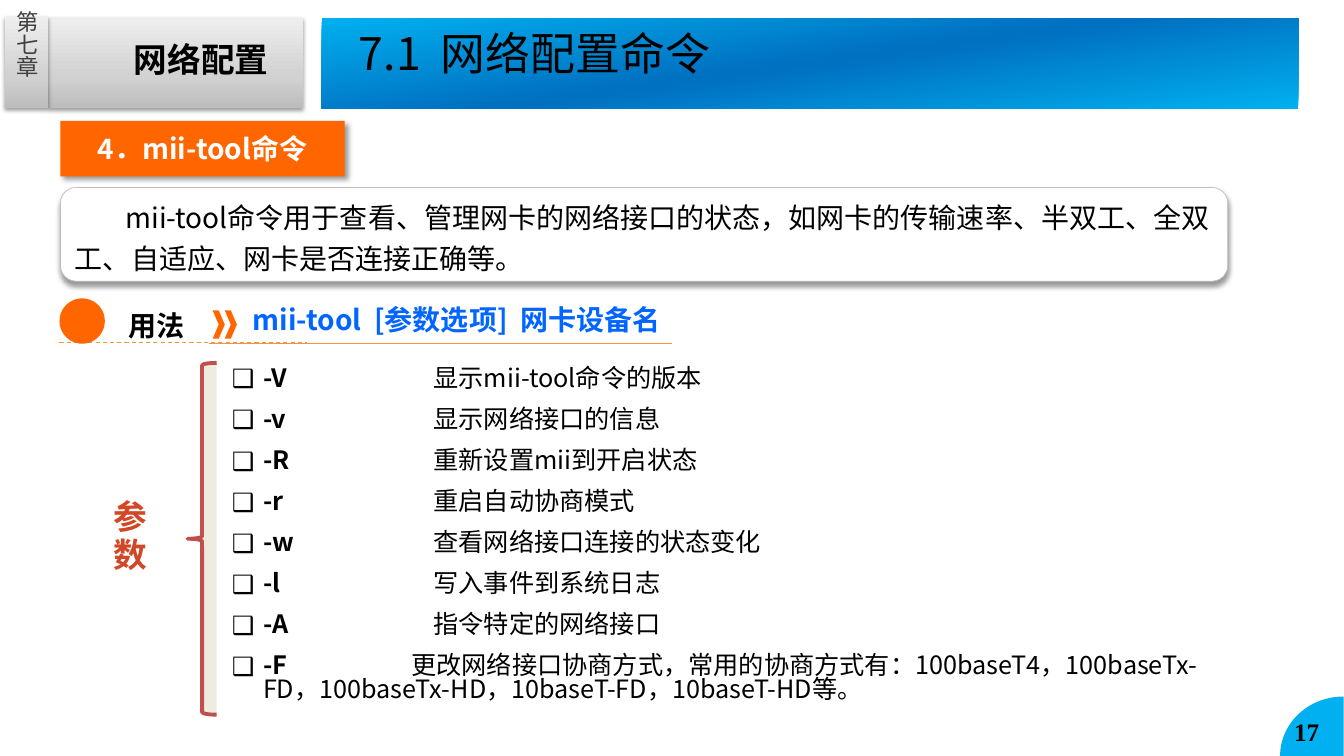
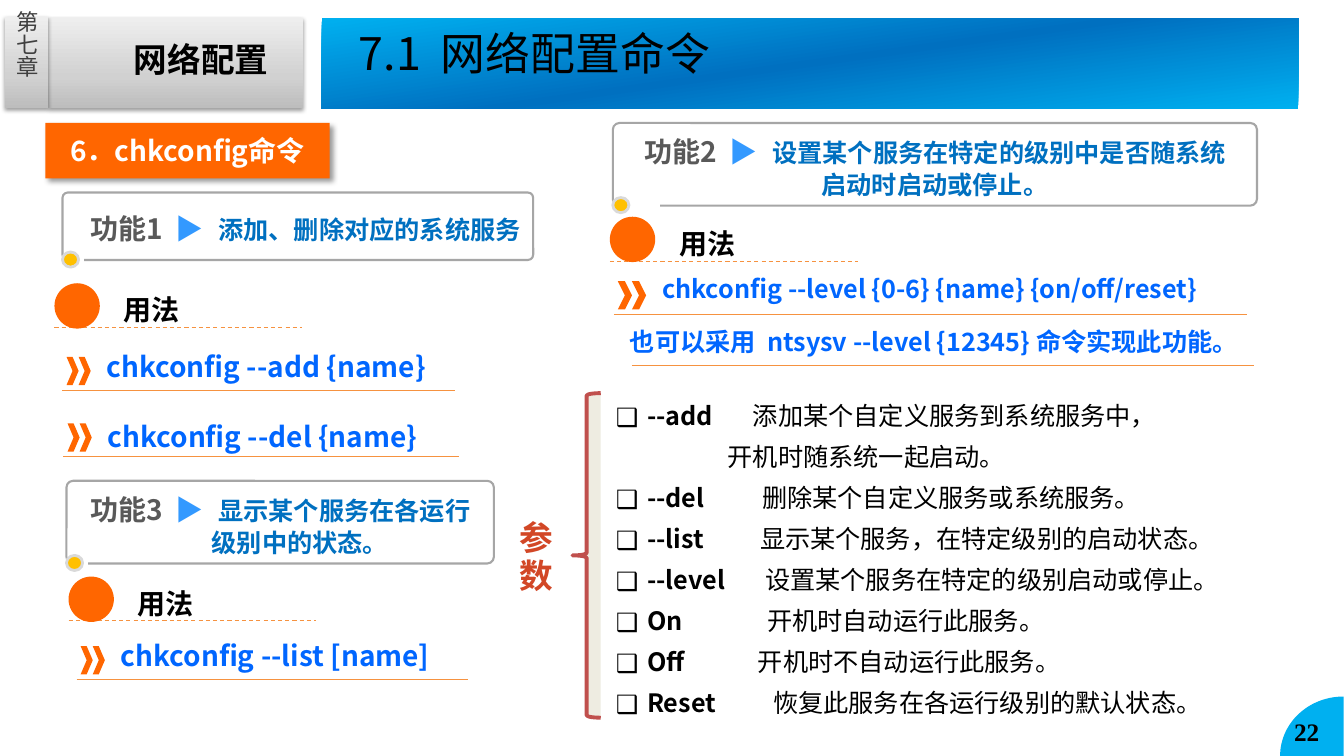
"""Builds two slides on network configuration commands."""
import math

from pptx import Presentation
from pptx.dml.color import RGBColor
from pptx.enum.dml import MSO_LINE
from pptx.enum.shapes import MSO_CONNECTOR, MSO_SHAPE
from pptx.enum.text import MSO_ANCHOR, MSO_AUTO_SIZE, PP_ALIGN
from pptx.oxml import parse_xml
from pptx.oxml.ns import qn
from pptx.util import Emu, Inches, Pt

RECT, ROUND, OVAL = MSO_SHAPE.RECTANGLE, MSO_SHAPE.ROUNDED_RECTANGLE, MSO_SHAPE.OVAL
CHEVRON, BRACE = MSO_SHAPE.CHEVRON, MSO_SHAPE.LEFT_BRACE
CENTER, LEFT = PP_ALIGN.CENTER, PP_ALIGN.LEFT
TOP, MIDDLE = MSO_ANCHOR.TOP, MSO_ANCHOR.MIDDLE
STRAIGHT, DASH = MSO_CONNECTOR.STRAIGHT, MSO_LINE.DASH

NAMESPACE = 'xmlns:a="http://schemas.openxmlformats.org/drawingml/2006/main"'
FONT = "Noto Sans CJK SC"
BLACK, WHITE, ORANGE, RULE = "000000", "FFFFFF", "FF6600", "F69240"
COMMAND, GRAY, ARROW, PURPOSE = "0066FF", "595959", "3399FF", "0070C0"
GRAY_STOPS = ((0, "BDBDBD"), (35, "D1D1D1"), (100, "EEEEEE"))
BLUE_STOPS = ((0, "00B0F0"), (50, "0070C0"), (100, "00B0F0"))
SOFT_SHADOW, TAG_SHADOW, CARD_SHADOW = (38, 3.1, 1.6, 90), (40, 4, 3, 45), (40, 4, 3, 90)
GAP = "|"
TITLE = "7.1|网络配置命令"
HANG = 0.31

SLIDES = [
    {
        "page": "17",
        "tag": ("4．mii-tool命令", 0.6, 1.2),
        "card": "mii-tool命令用于查看、管理网卡的网络接口的状态，如网卡的传输速率、半双工、全双工、自适应、网卡是否连接正确等。",
        "functions": [],
        "usages": [(0.59, 2.96)],
        "commands": [("mii-tool|[参数选项]|网卡设备名", 20, 2.11, 3.08, 4.6, 0.19)],
        "remark": None,
        "label": (1.03, 4.9),
        "brace": (1.86, 3.6, 0.29, 3.49),
        "body": (2.2, 3.6, 9.84, 3.49),
        "options": [
            ("-V", "显示mii-tool命令的版本", 2),
            ("-v", "显示网络接口的信息", 2),
            ("-R", "重新设置mii到开启状态", 2),
            ("-r", "重启自动协商模式", 2),
            ("-w", "查看网络接口连接的状态变化", 2),
            ("-l", "写入事件到系统日志", 2),
            ("-A", "指令特定的网络接口", 2),
            ("-F", "更改网络接口协商方式，常用的协商方式有：100baseT4，100baseTx-FD，"
                   "100baseTx-HD，10baseT-FD，10baseT-HD等。", 1.78),
        ],
    },
    {
        "page": "22",
        "tag": ("6．chkconfig命令", 0.45, 1.22),
        "card": None,
        "functions": [
            ("功能1", ["添加、删除对应的系统服务"], (0.62, 1.91, 4.67, 0.67), 0.15, 0, 0.05),
            ("功能2", ["设置某个服务在特定的级别中是否随系统", "启动时启动或停止。"],
             (6.08, 1.22, 6.39, 0.82), 0, 0, 0.31),
            ("功能3", ["显示某个服务在各运行", "级别中的状态。"],
             (0.66, 4.77, 4.24, 0.82), 0, 0.39, 0.05),
        ],
        "usages": [(0.54, 2.81), (0.68, 5.72), (6.05, 2.15)],
        "commands": [
            ("chkconfig --add {name}", 20, 0.66, 3.54, 3.89, 0.19),
            ("chkconfig --del {name}", 20, 0.67, 4.2, 3.92, 0.15),
            ("chkconfig --list [name]", 20, 0.8, 6.41, 3.88, 0.19),
            ("chkconfig --level {0-6} {name} {on/off/reset}", 18, 6.13, 2.79, 6.28, 0.19),
        ],
        "remark": "也可以采用|ntsysv --level {12345} 命令实现此功能。",
        "label": (5.06, 5.11),
        "brace": (5.68, 3.9, 0.28, 3.22),
        "body": (6.01, 3.98, 6.49, 3.25),
        "options": [
            ("--add", "添加某个自定义服务到系统服务中，", 1.36),
            ("", "开机时随系统一起启动。", 1.11),
            ("--del", "删除某个自定义服务或系统服务。", 1.45),
            ("--list", "显示某个服务，在特定级别的启动状态。", 1.43),
            ("--level", "设置某个服务在特定的级别启动或停止。", 1.48),
            ("On", "开机时自动运行此服务。", 1.5),
            ("Off", "开机时不自动运行此服务。", 1.41),
            ("Reset", "恢复此服务在各运行级别的默认状态。", 1.56),
        ],
    },
]


def rgb(value):
    """Turn a hex string into a colour."""
    return RGBColor.from_string(value)


def add_run(paragraph, text, size, color=BLACK, bold=False, font=FONT):
    """Add text run by run; each gap mark becomes one widened space."""
    for index, part in enumerate(text.split(GAP)):
        for piece, widened in ((" ", True), (part, False)) if index else ((part, False),):
            if not piece:
                continue
            run = paragraph.add_run()
            run.text = piece
            run.font.size, run.font.bold, run.font.name = Pt(size), bold, font
            run.font.color.rgb = rgb(color)
            properties = run.font._element
            properties.append(parse_xml(f'<a:ea {NAMESPACE} typeface="{FONT}"/>'))
            if widened:
                properties.set("spc", str(round(size * 22)))


def set_indent(paragraph, margin, first):
    """Set the left margin and first-line indent in inches."""
    properties = paragraph._p.get_or_add_pPr()
    properties.set("marL", str(Inches(margin)))
    properties.set("indent", str(Inches(first)))
    return properties


def set_frame(shape, anchor=TOP, insets=(0.1, 0.05, 0.1, 0.05)):
    """Give a shape's text its anchor, insets and wrapping."""
    frame = shape.text_frame
    frame.word_wrap, frame.auto_size, frame.vertical_anchor = True, MSO_AUTO_SIZE.NONE, anchor
    frame.margin_left, frame.margin_top, frame.margin_right, frame.margin_bottom = map(Inches, insets)
    return frame


def place(shape, box):
    """Move and size a shape by a box in inches."""
    shape.left, shape.top, shape.width, shape.height = map(Inches, box)


def add_text(slide, box, text, size, color=BLACK, bold=True, font=FONT, spacing=1.0):
    """Add a text box of one paragraph."""
    shape = slide.shapes.add_textbox(*map(Inches, box))
    paragraph = set_frame(shape).paragraphs[0]
    paragraph.line_spacing = spacing
    add_run(paragraph, text, size, color, bold, font)
    return shape


def add_shape(slide, kind, box, fill=None, line=None, width=1, shadow=None):
    """Add a preset shape with its fill, outline and shadow."""
    shape = slide.shapes.add_shape(kind, *map(Inches, box))
    shape.shadow.inherit = False
    if fill:
        shape.fill.solid()
        shape.fill.fore_color.rgb = rgb(fill)
    else:
        shape.fill.background()
    if line:
        shape.line.color.rgb, shape.line.width = rgb(line), Pt(width)
    else:
        shape.line.fill.background()
    if shadow:
        alpha, blur, distance, angle = shadow
        shape._element.spPr.find(qn("a:effectLst")).append(parse_xml(
            f'<a:outerShdw {NAMESPACE} blurRad="{Pt(blur)}" dist="{Pt(distance)}" '
            f'dir="{angle * 60000}" algn="ctr" rotWithShape="0"><a:srgbClr val="000000">'
            f'<a:alpha val="{alpha * 1000}"/></a:srgbClr></a:outerShdw>'))
    return shape


def add_gradient_bar(slide, box, stops, angle, shadow=None):
    """Add a rectangle filled with a linear gradient."""
    shape = add_shape(slide, RECT, box, WHITE, shadow=shadow)
    marks = "".join(f'<a:gs pos="{position * 1000}"><a:srgbClr val="{color}"/></a:gs>'
                    for position, color in stops)
    properties = shape._element.spPr
    properties.replace(properties.find(qn("a:solidFill")), parse_xml(
        f'<a:gradFill {NAMESPACE} rotWithShape="1"><a:gsLst>{marks}</a:gsLst>'
        f'<a:lin ang="{angle * 60000}" scaled="0"/></a:gradFill>'))
    return shape


def add_rule(slide, left, top, length, color=RULE, width=0.75, dash=None):
    """Add a horizontal line."""
    line = slide.shapes.add_connector(
        STRAIGHT, Inches(left), Inches(top), Inches(left + length), Inches(top))
    line.line.color.rgb, line.line.width = rgb(color), Pt(width)
    if dash:
        line.line.dash_style = dash
    line._element.spPr.append(parse_xml(f"<a:effectLst {NAMESPACE}/>"))


def add_corner(slide):
    """Add the rounded page-number corner."""
    angles = [math.radians(180 + 3 * step) for step in range(31)]
    points = [(Inches(13.33 + 0.63 * math.cos(angle)), Inches(7.5 + 0.59 * math.sin(angle)))
              for angle in angles]
    builder = slide.shapes.build_freeform(*points[0])
    builder.add_line_segments(points[1:] + [(Inches(13.33), Inches(7.5))], close=True)
    corner = builder.convert_to_shape()
    corner.shadow.inherit = False
    corner.fill.solid()
    corner.fill.fore_color.rgb = rgb("00B0F0")
    corner.line.fill.background()
    return corner


def build_layout(slide, layout):
    """Build the shared header and corner and move them to the layout."""
    chapter = add_text(slide, (0.12, 0.11, 0.29, 0.67), "第七章", 16, "404040", False)
    frame = set_frame(chapter, MIDDLE, (0, 0, 0, 0))
    frame._txBody.bodyPr.set("vert", "eaVert")
    frame.paragraphs[0].alignment = CENTER
    parts = [
        add_gradient_bar(slide, (0.48, 0.18, 2.53, 0.89), GRAY_STOPS, 270, SOFT_SHADOW),
        add_text(slide, (1.23, 0.34, 1.78, 0.53), "网络配置", 24, font="Arial"),
        add_gradient_bar(slide, (0.05, 0.17, 0.43, 0.9), GRAY_STOPS, 270, SOFT_SHADOW),
        chapter,
        add_corner(slide),
        add_gradient_bar(slide, (3.19, 0.18, 9.69, 0.9), BLUE_STOPS, 262),
    ]
    for part in parts:
        layout.shapes.element.append(part._element)


def add_usage(slide, left, top):
    """Add the usage heading with its dot and dashed line."""
    add_rule(slide, left, top + 0.44, 2.46, dash=DASH)
    add_text(slide, (left + 0.59, top - 0.12, 1.83, 0.6), "用法", 20, spacing=1.5)
    add_shape(slide, OVAL, (left, top, 0.45, 0.45), ORANGE)


def add_command(slide, text, size, left, top, length, lift):
    """Add a command with two chevrons and an underline."""
    width = 0.12 if size == 20 else 0.14
    add_text(slide, (left + 2 * width + 0.06, top - lift, length, 0.5), text, size, COMMAND, spacing=1.2)
    for index in range(2):
        add_shape(slide, CHEVRON, (left + index * width, top, width, 0.28), ORANGE)
    add_rule(slide, left - 0.04, top + 0.33, length)


def add_function(slide, name, lines, box, inset, shift, opening):
    """Add an outlined function box with its corner dot."""
    left, top, _, height = box
    shape = add_shape(slide, ROUND, box, line="A6A6A6", width=1.5)
    shape.adjustments[0] = 0.08
    frame = set_frame(shape, MIDDLE, (inset, 0, 0, 0))
    for index, text in enumerate(lines):
        paragraph = frame.add_paragraph() if index else frame.paragraphs[0]
        paragraph.alignment = CENTER
        if index:
            set_indent(paragraph, shift, 0)
        else:
            add_run(paragraph, name + GAP, 20, GRAY, True)
            add_run(paragraph, "▶", 20, ARROW, True)
            add_run(paragraph, GAP, 24, GRAY, True)
        add_run(paragraph, text, 18, PURPOSE, True)
    add_rule(slide, left + 0.16, top + height, opening, WHITE, 3)
    add_shape(slide, OVAL, (left, top + height - 0.08, 0.16, 0.15), "FFC000", "D9D9D9", 2)


def fill_options(shape, box, options):
    """Fill the body placeholder with options and their meanings."""
    place(shape, box)
    frame = set_frame(shape)
    for index, (option, meaning, stop) in enumerate(options):
        paragraph = frame.add_paragraph() if index else frame.paragraphs[0]
        if option:
            properties = set_indent(paragraph, HANG, -HANG)
            marks = (f'<a:buFont {NAMESPACE} typeface="{FONT}"/>', f'<a:buChar {NAMESPACE} char="❑"/>',
                     f'<a:tabLst {NAMESPACE}><a:tab pos="{Inches(stop)}" algn="l"/></a:tabLst>')
        else:
            properties = set_indent(paragraph, stop, 0)
            marks = (f"<a:buNone {NAMESPACE}/>",)
        for mark in marks:
            properties.append(parse_xml(mark))
        paragraph.alignment, paragraph.line_spacing = LEFT, 0.8
        paragraph.space_before, paragraph.space_after = Pt(6 if index else 0), Pt(6)
        if option:
            add_run(paragraph, option, 18, bold=True)
        add_run(paragraph, "\t" + meaning if option else meaning, 18)


def build_slide(slide, content):
    """Place one slide's title, boxes, commands and options."""
    title, body = slide.placeholders
    place(title, (3.56, 0.25, 8.8, 0.64))
    heading = set_frame(title, TOP, (0, 0, 0, 0)).paragraphs[0]
    heading.alignment = LEFT
    add_run(heading, TITLE, 32)
    add_text(slide, (12.74, 7.06, 0.59, 0.4), content["page"], 18, font="Times New Roman")
    text, left, top = content["tag"]
    tag = add_shape(slide, RECT, (left, top, 2.82, 0.55), ORANGE, shadow=TAG_SHADOW)
    paragraph = set_frame(tag, MIDDLE).paragraphs[0]
    paragraph.alignment = CENTER
    add_run(paragraph, text, 20, WHITE, True)
    if content["card"]:
        card = add_shape(slide, ROUND, (0.6, 1.86, 11.58, 0.93), WHITE, "BFBFBF", 0.5, CARD_SHADOW)
        paragraph = set_frame(card, MIDDLE).paragraphs[0]
        set_indent(paragraph, 0, 0.5)
        paragraph.alignment, paragraph.line_spacing = LEFT, 1.2
        add_run(paragraph, content["card"], 20)
    for function in content["functions"]:
        add_function(slide, *function)
    for usage in content["usages"]:
        add_usage(slide, *usage)
    for command in content["commands"]:
        add_command(slide, *command)
    if content["remark"]:
        add_text(slide, (6.15, 3.13, 6.32, 0.46), content["remark"], 18, COMMAND, spacing=1.2)
        add_rule(slide, 6.27, 3.63, 6.17)
    add_text(slide, (*content["label"], 0.57, 0.9), "参数", 24, "D24726", spacing=0.95)
    add_shape(slide, BRACE, content["brace"], "EEECE1", "C0504D", 2.75)
    fill_options(body, content["body"], content["options"])


def main():
    """Build and save the presentation."""
    presentation = Presentation()
    presentation.slide_width, presentation.slide_height = Emu(12192000), Inches(7.5)
    layout = presentation.slide_layouts[1]
    for index, content in enumerate(SLIDES):
        slide = presentation.slides.add_slide(layout)
        if index == 0:
            build_layout(slide, layout)
        build_slide(slide, content)
    presentation.save("out.pptx")


if __name__ == "__main__":
    main()
